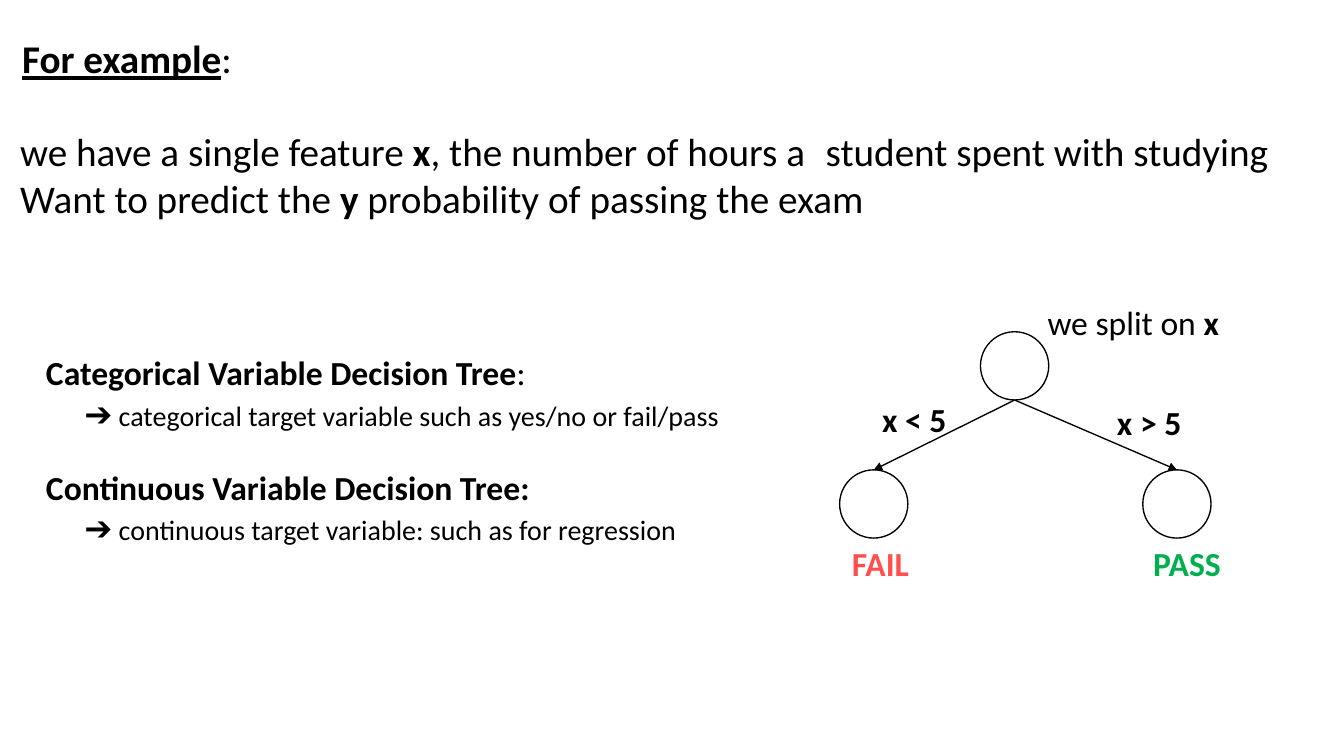
import pptx
import pptx.util
import pptx.dml.color
import pptx.enum.shapes
import pptx.enum.text
import pptx.oxml
import pptx.oxml.ns

Cm = pptx.util.Cm
Pt = pptx.util.Pt
qn = pptx.oxml.ns.qn


def rgb(value):
    return pptx.dml.color.RGBColor.from_string(value)


def write(p, text, size=28, bold=False, underline=False, color="000000", font="Calibri", spacing=0):
    r = p.add_run()
    r.text = text
    r.font.name = font
    r.font.size = Pt(size)
    r.font.bold = bold
    r.font.underline = underline
    r.font.color.rgb = rgb(color)
    if spacing:
        r._r.get_or_add_rPr().set("spc", str(int(spacing * 100)))


prs = pptx.Presentation()
prs.slide_width, prs.slide_height = Cm(33.87), Cm(19.05)
s = prs.slides.add_slide(prs.slide_layouts[5])

title = s.shapes.title
title.left, title.top, title.width, title.height = Cm(0.56), Cm(0.54), Cm(32.74), Cm(2.57)
tf = title.text_frame
tf.margin_left = tf.margin_right = tf.margin_bottom = 0
tf.margin_top = Cm(0.33)
tf.vertical_anchor = pptx.enum.text.MSO_ANCHOR.TOP
tf.auto_size = pptx.enum.text.MSO_AUTO_SIZE.NONE
p = tf.paragraphs[0]
p.alignment = pptx.enum.text.PP_ALIGN.LEFT
write(p, "For example", bold=True, underline=True)
write(p, ":")

diameter = 1.72
root = (24.71, 8.36)
leaves = [(21.16, 11.84), (28.8, 11.84)]
for left, top in [root] + leaves:
    sp = s.shapes.add_shape(pptx.enum.shapes.MSO_SHAPE.OVAL, Cm(left), Cm(top), Cm(diameter), Cm(diameter))
    sp.shadow.inherit = False
    sp.fill.background()
    sp.line.color.rgb = rgb("000000")
    sp.line.width = Pt(0.96)

for left, top in leaves:
    branch = s.shapes.add_connector(
        pptx.enum.shapes.MSO_CONNECTOR.STRAIGHT,
        Cm(root[0] + diameter / 2), Cm(root[1] + diameter),
        Cm(left + diameter / 2), Cm(top))
    branch.line.color.rgb = rgb("000000")
    branch.line.width = Pt(0.96)
    ln = branch.line._get_or_add_ln()
    ln.append(ln.makeelement(qn("a:tailEnd"), {"type": "triangle", "w": "med", "len": "med"}))
    branch._element.spPr.append(ln.makeelement(qn("a:effectLst"), {}))

bold = {"bold": True}
label = {"size": 24}
heading = {"size": 24, "bold": True}
arrow = ("➔ ", {"size": 24, "font": "Arial", "spacing": -2.4})
detail = {"size": 20}
boxes = [
    (0.51, 3.21, 32, 2.5, [
        [("we have a single feature ", {}), ("x", bold),
         (", the number of hours a\tstudent spent with studying", {})],
        [("Want to predict the ", {}), ("y", bold), (" probability of passing the exam", {})]]),
    (26.4, 7.6, 4.8, 1.08, [[("we split on ", label), ("x", heading)]]),
    (22.23, 10.04, 1.8, 1.08, [[("x < 5", heading)]]),
    (28.15, 10.14, 1.8, 1.08, [[("x > 5", heading)]]),
    (21.47, 13.68, 1.6, 1.08, [[("FAIL", {**heading, "color": "FF5050"})]]),
    (29.06, 13.68, 1.9, 1.08, [[("PASS", {**heading, "color": "00AF50"})]]),
    (1.16, 8.88, 17.6, 2.11, [
        [("Categorical Variable Decision Tree", heading), (":", label)],
        [arrow, ("categorical target variable such as yes/no or fail/pass", detail)]]),
    (1.16, 11.76, 17.6, 2.11, [
        [("Continuous Variable Decision Tree:", heading)],
        [arrow, ("continuous target variable: such as for regression", detail)]]),
]
for left, top, width, height, paragraphs in boxes:
    tf = s.shapes.add_textbox(Cm(left), Cm(top), Cm(width), Cm(height)).text_frame
    tf.word_wrap = True
    tf.margin_left = tf.margin_right = tf.margin_top = tf.margin_bottom = 0
    for i, runs in enumerate(paragraphs):
        p = tf.add_paragraph() if i else tf.paragraphs[0]
        pPr = p._p.get_or_add_pPr()
        if runs[0] == arrow:
            pPr.set("marL", str(Cm(0.97)))
            pPr.set("indent", "0")
        if any("\t" in text for text, style in runs):
            tabs = pPr.makeelement(qn("a:tabLst"), {})
            tabs.append(pPr.makeelement(qn("a:tab"), {"pos": str(Cm(20.3)), "algn": "l"}))
            pPr.append(tabs)
        for text, style in runs:
            write(p, text, **style)

prs.save("out.pptx")
